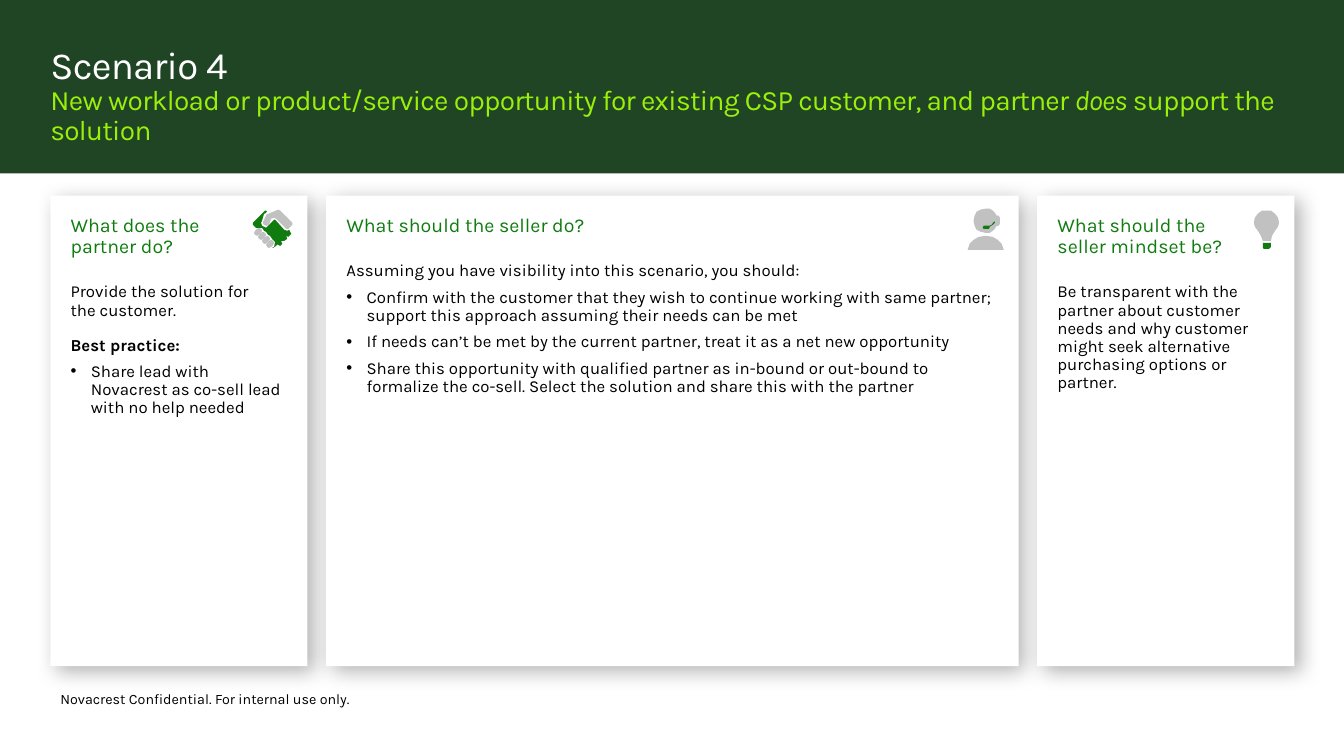
from lxml.etree import SubElement
from pptx import Presentation
from pptx.dml.color import RGBColor
from pptx.enum.shapes import MSO_SHAPE as SHAPE
from pptx.enum.text import MSO_ANCHOR as ANCHOR, PP_ALIGN as ALIGN
from pptx.oxml.ns import qn
from pptx.util import Cm, Pt

DARK = RGBColor(0x1F, 0x45, 0x25)
LIME = RGBColor(0x9B, 0xF0, 0x0B)
GREEN = RGBColor(0x10, 0x7C, 0x10)
GREY = RGBColor(0xC1, 0xC1, 0xC1)
WHITE = RGBColor(0xFF, 0xFF, 0xFF)
BLACK = RGBColor(0x00, 0x00, 0x00)

MARGIN, GAP, TOP, HEIGHT = 1.27, 0.47, 4.93, 11.86
CARDS = [
    (6.48, [
        ("head", "What does the\npartner do?", 18),
        ("body", "Provide the solution for\nthe customer.", 12),
        ("bold", "Best practice:", 6),
        ("bullet", "Share lead with\nNovacrest as co-sell lead with no help needed", 6),
    ]),
    (17.45, [
        ("head", "What should the seller do?", 18),
        ("body", "Assuming you have visibility into this scenario, you should:", 6),
        ("bullet", "Confirm with the customer that they wish to continue working with same "
                   "partner; support this approach assuming their needs can be met", 6),
        ("bullet", "If needs can’t be met by the current partner, treat it as a net new "
                   "opportunity", 6),
        ("bullet", "Share this opportunity with qualified partner as in-bound or out-bound to "
                   "formalize the co-sell. Select the solution and share this with the partner", 6),
    ]),
    (6.48, [
        ("head", "What should the\nseller mindset be?", 18),
        ("body", "Be transparent with the partner about customer needs and why customer might "
                 "seek alternative purchasing options or partner.", 12),
    ]),
]

LOWER_HAND = [
    (288, 230), (287, 228), (285, 229), (282, 228), (273, 218), (272, 218), (270, 220),
    (264, 226), (260, 224), (259, 221), (260, 219), (262, 212), (263, 212), (265, 210),
    (264, 209), (263, 209), (251, 221), (251, 223), (254, 226), (260, 226), (262, 229),
    (264, 230), (266, 233), (268, 234), (270, 237), (273, 240), (272, 245), (270, 246),
    (271, 246), (275, 243), (274, 242), (278, 244), (280, 242), (279, 239), (282, 239),
    (285, 237), (284, 234), (286, 235), (289, 232)]
FINGER = [(271, 243), (269, 245), (267, 246), (265, 245), (264, 243), (265, 241),
          (267, 239), (269, 238), (271, 239), (272, 241)]
UPPER_HAND = [
    (276, 208), (264, 213), (264, 214), (261, 220), (261, 222), (262, 223), (264, 224),
    (267, 223), (268, 220), (269, 217), (272, 216), (274, 217), (284, 227), (286, 227),
    (290, 223), (290, 221), (278, 209)]
HEAD = [
    (969, 228), (973, 230), (978, 231), (982, 231), (985, 229), (987, 227), (989, 224),
    (991, 224), (992, 222), (992, 216), (991, 214), (989, 214), (987, 211), (985, 209),
    (982, 207), (978, 207), (973, 208), (969, 210), (967, 214), (966, 219), (967, 224)]
SHOULDERS = [
    (994, 242), (990, 238), (985, 235), (978, 234), (971, 235), (966, 238), (962, 242),
    (960, 248), (996, 248)]
MICROPHONE = [
    (976, 224), (981, 224), (982, 224), (984, 223), (986, 220), (987, 220), (987, 221),
    (985, 223), (982, 225), (982, 226), (981, 227), (977, 227), (976, 227), (975, 226)]
BULB = [
    (1261, 239), (1262, 234), (1265, 229), (1268, 225), (1269, 221), (1268, 216),
    (1265, 212), (1261, 209), (1257, 209), (1252, 209), (1248, 212), (1245, 216),
    (1244, 221), (1245, 225), (1248, 229), (1251, 234), (1253, 239)]
BULB_BASE = [(1259, 247), (1260, 246), (1261, 245), (1261, 241), (1253, 241),
             (1253, 246), (1254, 247)]
FINGERS = [[(x - 4 * i, y - 4 * i) for x, y in FINGER] for i in range(4)]
ICONS = [
    [(LOWER_HAND, GREEN), *((f, GREY) for f in FINGERS), (UPPER_HAND, GREY)],
    [(HEAD, GREY), (SHOULDERS, GREY), (MICROPHONE, GREEN)],
    [(BULB, GREY), (BULB_BASE, GREEN)],
]


class SlideBuilder:
    """Draws styled elements on the current slide."""

    font = "Karla"
    kinds = {"head": (14, GREEN), "body": (12, BLACK), "bold": (12, BLACK),
             "bullet": (12, BLACK)}

    def __init__(self, s):
        self.s = s

    def paint(self, sp, color):
        sp.shadow.inherit = False
        sp.fill.solid()
        sp.fill.fore_color.rgb = color
        sp.line.fill.background()

    def rect(self, x, y, w, h, color):
        sp = self.s.shapes.add_shape(SHAPE.RECTANGLE, Cm(x), Cm(y), Cm(w), Cm(h))
        self.paint(sp, color)
        return sp

    def frame(self, sp, insets):
        tf = sp.text_frame
        tf.word_wrap = True
        tf.vertical_anchor = ANCHOR.TOP
        tf.margin_left, tf.margin_top, tf.margin_right, tf.margin_bottom = map(Cm, insets)
        return tf

    def run(self, p, text, size, color, bold=False, italic=False, spacing=None):
        r = p.add_run()
        r.text = text
        r.font.name, r.font.size, r.font.color.rgb = self.font, Pt(size), color
        r.font.bold, r.font.italic = bold, italic
        if spacing is not None:
            r.font._element.set("spc", str(spacing))

    def text(self, box, runs, size, color, leading, insets=(0, 0, 0, 0), spacing=None):
        tf = self.frame(self.s.shapes.add_textbox(*map(Cm, box)), insets)
        p = tf.paragraphs[0]
        p.line_spacing = leading
        for text, italic in runs:
            self.run(p, text, size, color, italic=italic, spacing=spacing)

    def drop_shadow(self, sp):
        effects = sp._element.spPr.find(qn("a:effectLst"))
        shadow = SubElement(effects, qn("a:outerShdw"), blurRad=str(Pt(15)),
                            dist=str(Pt(6)), dir="2400000", algn="tl", rotWithShape="0")
        color = SubElement(shadow, qn("a:srgbClr"), val=str(BLACK))
        SubElement(color, qn("a:alpha"), val="30000")

    def bullet(self, p):
        pPr = p._p.get_or_add_pPr()
        pPr.set("marL", str(Cm(0.51)))
        pPr.set("indent", str(-Cm(0.51)))
        SubElement(pPr, qn("a:buFont"), typeface="Arial")
        SubElement(pPr, qn("a:buChar"), char="•")

    def card(self, x, w, paragraphs):
        sp = self.rect(x, TOP, w, HEIGHT, WHITE)
        self.drop_shadow(sp)
        tf = self.frame(sp, (0.51,) * 4)
        for i, (kind, text, after) in enumerate(paragraphs):
            p = tf.add_paragraph() if i else tf.paragraphs[0]
            if kind == "bullet":
                self.bullet(p)
            p.alignment, p.line_spacing, p.space_after = ALIGN.LEFT, 0.9, Pt(after)
            for j, line in enumerate(text.split("\n")):
                if j:
                    p.add_line_break()
                self.run(p, line, *self.kinds[kind], bold=kind == "bold")

    def icon(self, outlines):
        group = self.s.shapes.add_group_shape()
        for points, color in outlines:
            outline = group.shapes.build_freeform(*points[0], scale=Cm(2.54) / 100)
            outline.add_line_segments(points[1:], close=True)
            self.paint(outline.convert_to_shape(), color)


def main():
    prs = Presentation()
    prs.slide_width, prs.slide_height = Cm(33.87), Cm(19.05)
    b = SlideBuilder(prs.slides.add_slide(prs.slide_layouts[6]))

    b.rect(0, 0, 33.87, 4.37, DARK)
    b.text((MARGIN, 17.35, 11.66, 1.04),
           [("Novacrest Confidential. For internal use only.", False)],
           10.2, BLACK, 0.8, insets=(0.25, 0.13, 0.25, 0.13))
    b.text((MARGIN, 1.09, 31.39, 1.12), [("Scenario 4", False)], 27.4, WHITE, Pt(31.4),
           spacing=-50)
    b.text((MARGIN, 2.18, 32.16, 0.69),
           [("New workload or product/service opportunity for existing CSP customer, "
             "and partner ", False), ("does ", True), ("support the solution", False)],
           20, LIME, 0.9, insets=(0, 0, 0.41, 0), spacing=-50)

    x = MARGIN
    for (width, paragraphs), outlines in zip(CARDS, ICONS):
        b.card(x, width, paragraphs)
        b.icon(outlines)
        x += width + GAP
    prs.save("out.pptx")


if __name__ == "__main__":
    main()
